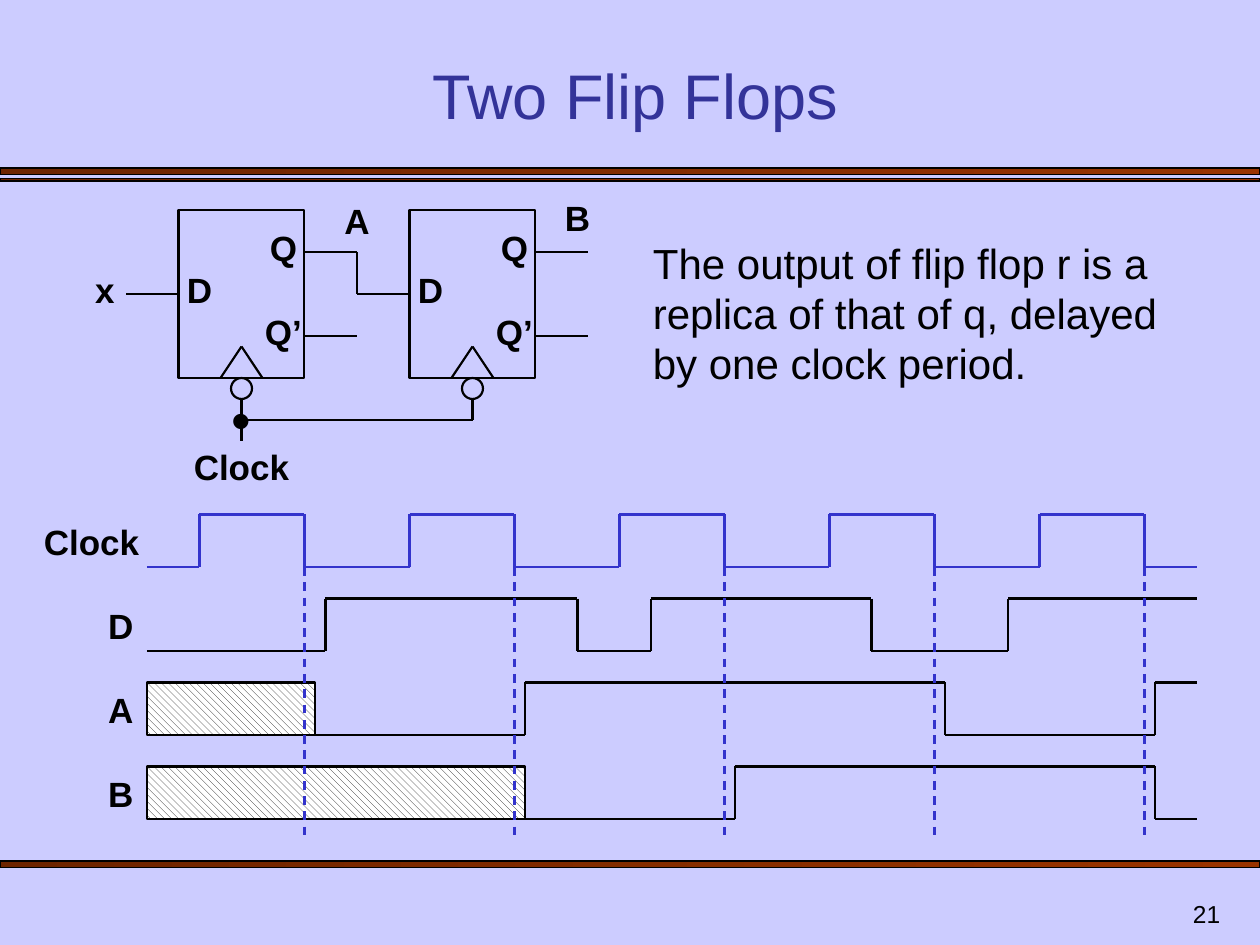
import dataclasses

import lxml.etree
import pptx
import pptx.dml.color
import pptx.enum.dml
import pptx.enum.shapes
import pptx.enum.text
import pptx.oxml.ns
import pptx.util

ALIGN = pptx.enum.text.PP_ALIGN
ANCHOR = pptx.enum.text.MSO_ANCHOR
SHAPE = pptx.enum.shapes.MSO_SHAPE


@dataclasses.dataclass(frozen=True)
class Theme:
    font: str = "Arial"
    background: str = "CCCCFF"
    ink: str = "000000"
    heading: str = "333399"
    clock: str = "3333CC"
    bar_dark: str = "6D2400"
    bar_light: str = "993300"
    hatch: str = "1C1C1C"
    hatch_back: str = "FFFFFF"
    title_size: int = 36
    dot_size: int = 32
    body_size: int = 24
    label_size: int = 20
    number_size: int = 14
    line_width: float = 1.25
    bar_line_width: float = 0.75


def rgb(colour):
    return pptx.dml.color.RGBColor.from_string(colour)


class SlideBuilder:
    """Draws on one slide; lengths are cells of a 120 by 90 grid."""

    COLUMNS, ROWS = 120, 90

    def __init__(self, deck, theme):
        self.theme = theme
        self.cell_width = deck.slide_width / self.COLUMNS
        self.cell_height = deck.slide_height / self.ROWS
        self.page = deck.slides.add_slide(deck.slide_layouts[5])
        self.page.background.fill.solid()
        self.page.background.fill.fore_color.rgb = rgb(theme.background)

    def point(self, column, row):
        return round(column * self.cell_width), round(row * self.cell_height)

    def area(self, column, row, width, height):
        return *self.point(column, row), *self.point(width, height)

    def set_text(self, box, text, size, colour, bold, align, anchor):
        frame = box.text_frame
        frame.text = text
        frame.word_wrap = True
        frame.vertical_anchor = anchor
        para = frame.paragraphs[0]
        para.alignment = align
        span = para.runs[0]
        span.font.name = self.theme.font
        span.font.size = pptx.util.Pt(size)
        span.font.bold = bold
        span.font.color.rgb = rgb(colour)

    def title(self, text, *place):
        box = self.page.shapes.title
        box.left, box.top, box.width, box.height = self.area(*place)
        self.set_text(box, text, self.theme.title_size, self.theme.heading,
                      False, ALIGN.CENTER, ANCHOR.BOTTOM)

    def text(self, text, *place, size, bold=False, align=ALIGN.LEFT, anchor=ANCHOR.TOP):
        box = self.page.shapes.add_textbox(*self.area(*place))
        self.set_text(box, text, size, self.theme.ink, bold, align, anchor)

    def label(self, text, column, row, width, align=ALIGN.CENTER):
        self.text(text, column, row, width, 5.2,
                  size=self.theme.label_size, bold=True, align=align)

    def shape(self, kind, *place):
        shape = self.page.shapes.add_shape(kind, *self.area(*place))
        shape.shadow.inherit = False
        shape.fill.background()
        shape.line.color.rgb = rgb(self.theme.ink)
        shape.line.width = pptx.util.Pt(self.theme.line_width)
        return shape

    def bar(self, row, height):
        bar = self.shape(SHAPE.RECTANGLE, 0, row, self.COLUMNS, height)
        bar.line.width = pptx.util.Pt(self.theme.bar_line_width)
        bar.fill.gradient()
        bar.fill.gradient_angle = 0
        colours = (self.theme.bar_dark, self.theme.bar_light)
        for stop, colour in zip(bar.fill.gradient_stops, colours):
            stop.color.rgb = rgb(colour)

    def hatched(self, *place):
        fill = self.shape(SHAPE.RECTANGLE, *place).fill
        fill.patterned()
        fill.pattern = pptx.enum.dml.MSO_PATTERN.WIDE_DOWNWARD_DIAGONAL
        fill.fore_color.rgb = rgb(self.theme.hatch)
        fill.back_color.rgb = rgb(self.theme.hatch_back)

    def line(self, start, end, colour=None, dashed=False):
        line = self.page.shapes.add_connector(
            pptx.enum.shapes.MSO_CONNECTOR.STRAIGHT, *self.point(*start), *self.point(*end))
        line.line.color.rgb = rgb(colour or self.theme.ink)
        line.line.width = pptx.util.Pt(self.theme.line_width)
        if dashed:
            line.line.dash_style = pptx.enum.dml.MSO_LINE.DASH
        lxml.etree.SubElement(line.element.spPr, pptx.oxml.ns.qn("a:effectLst"))
        return line

    def polyline(self, points, colour=None):
        for start, end in zip(points, points[1:]):
            self.line(start, end, colour)

    def wave(self, low, edges, start, end, colour=None):
        """A signal that starts low and toggles at each edge."""
        high = low - 5
        points, level = [(start, low)], low
        for edge in edges:
            points.append((edge, level))
            level = high if level == low else low
            points.append((edge, level))
        self.polyline(points + [(end, level)], colour)

    def flip_flop(self, left, stem_end):
        body = self.shape(SHAPE.RECTANGLE, left, 20, 12, 16)
        middle, right = left + 6, left + 12
        # Clock input: bubble, stem and edge mark
        self.shape(SHAPE.OVAL, middle - 1, 36, 2, 2)
        self.line((middle, 38), (middle, stem_end))
        self.polyline([(middle - 2, 36), (middle, 33), (middle + 2, 36)])
        # Data input and the two outputs
        self.line((left - 5, 28), (left, 28)).end_connect(body, 1)
        for row in (24, 32):
            self.line((right, row), (right + 5, row))
        for name, column, row in (("D", left - 1, 25), ("Q", left + 7, 21),
                                  ("Q’", left + 7, 29)):
            self.label(name, column, row, 6)


def main():
    deck = pptx.Presentation()
    deck.slide_width, deck.slide_height = pptx.util.Inches(10), pptx.util.Inches(7.5)
    theme = Theme()
    page = SlideBuilder(deck, theme)

    # Frame of the slide
    for row, height in ((16, 0.6), (17, 0.25), (82, 0.6)):
        page.bar(row, height)
    page.text("21", 92.4, 84, 25, 5, size=theme.number_size,
              align=ALIGN.RIGHT, anchor=ANCHOR.BOTTOM)
    page.title("Two Flip Flops", 7, 5, 107, 8.2)

    # Circuit
    page.flip_flop(17, stem_end=42)
    page.flip_flop(39, stem_end=40)
    page.line((34, 24), (34, 28))
    page.line((23, 40), (45, 40))
    page.text("•", 19, 36, 8, 7.6, size=theme.dot_size, align=ALIGN.CENTER)
    for name, column, row, width in (("Clock", 16, 41.8, 14), ("x", 7, 25, 6),
                                     ("A", 30.5, 18.4, 7), ("B", 51.5, 18.1, 7)):
        page.label(name, column, row, width)

    # Timing diagram
    start, end, period = 14, 114, 20
    falling = range(29, end, period)
    page.wave(54, range(19, end, period // 2), start, end, theme.clock)
    page.wave(62, (31, 55, 62, 83, 96), start, end)
    for low, known, edges in ((70, 30, (50, 90, 110)), (78, 50, (70, 110))):
        page.wave(low, edges, known, end)
        page.hatched(start, low - 5, known - start, 5)
    for column in falling:
        page.line((column, 54), (column, 80), theme.clock, dashed=True)
    page.label("Clock", 3, 49, 12, ALIGN.LEFT)
    for index, name in enumerate("DAB"):
        page.label(name, 8, 57 + 8 * index, 7)

    # Explanation
    page.text("The output of flip flop r is a replica of that of q, "
              "delayed by one clock period.", 61, 22, 52, 15.6, size=theme.body_size)

    deck.save("out.pptx")


if __name__ == "__main__":
    main()
